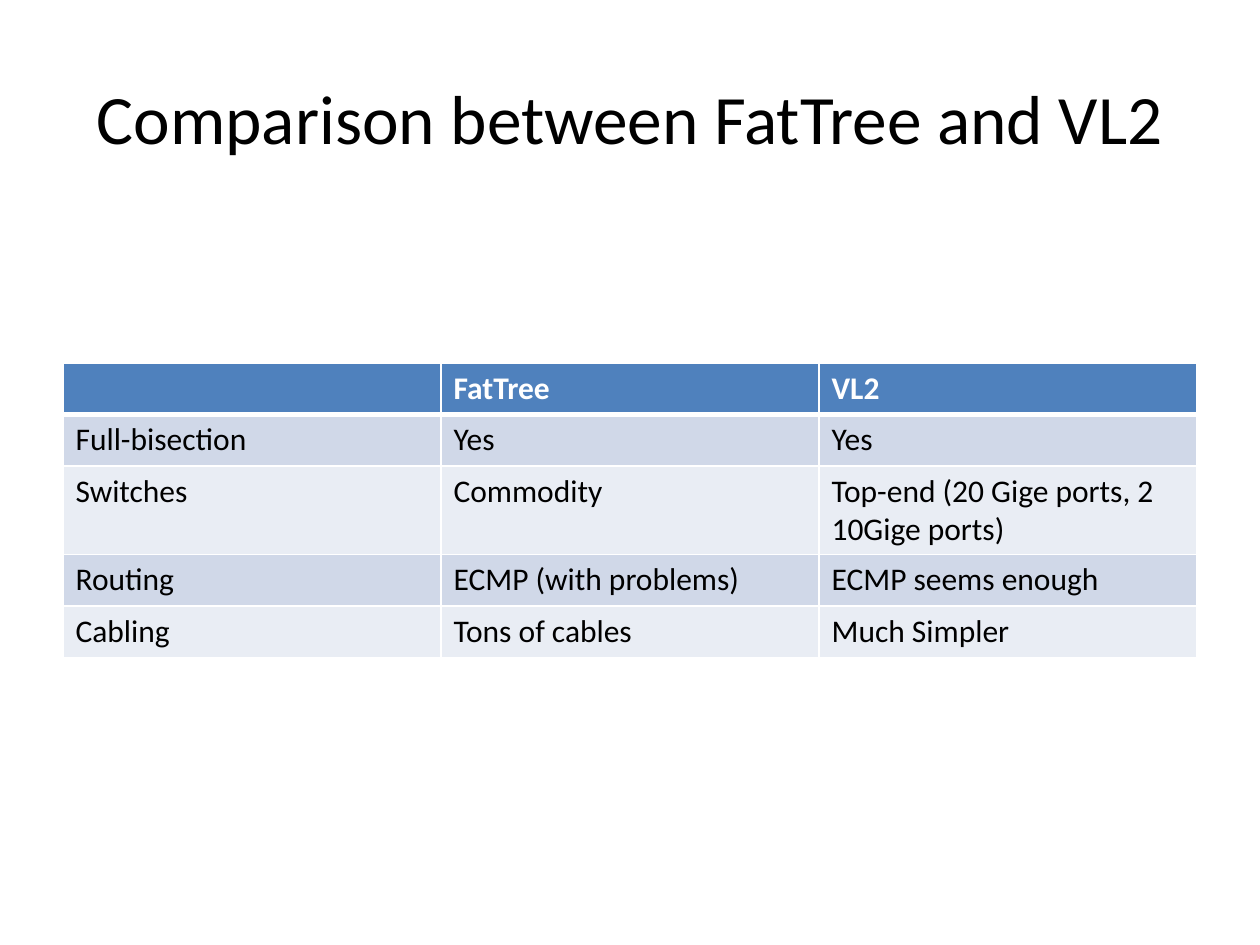
from dataclasses import dataclass

from lxml import etree
from pptx import Presentation
from pptx.dml.color import RGBColor
from pptx.enum.text import MSO_ANCHOR, PP_ALIGN
from pptx.oxml.ns import qn
from pptx.util import Inches, Pt

CENTER, LEFT = PP_ALIGN.CENTER, PP_ALIGN.LEFT
MIDDLE = MSO_ANCHOR.MIDDLE
BLANK_LAYOUT = 6


@dataclass(frozen=True)
class Theme:
    font: str = "Calibri"
    title_size: float = 39.6
    cell_size: float = 18
    text: str = "000000"
    header_text: str = "FFFFFF"
    header_fill: str = "4F81BD"
    bands: tuple[str, str] = ("D0D8E8", "E9EDF4")
    border: str = "FFFFFF"
    thin: float = 1
    thick: float = 3


@dataclass(frozen=True)
class Row:
    aspect: str
    fat_tree: str
    vl2: str


THEME = Theme()
HEADER = Row("", "FatTree", "VL2")
ROWS = [
    Row("Full-bisection", "Yes", "Yes"),
    Row("Switches", "Commodity", "Top-end (20 Gige ports, 2 10Gige ports)"),
    Row("Routing", "ECMP (with problems)", "ECMP seems enough"),
    Row("Cabling", "Tons of cables", "Much Simpler"),
]


def write_text(tf, text: str, *, size: float = THEME.cell_size, color: str = THEME.text,
               bold: bool = False, align=LEFT) -> None:
    p = tf.paragraphs[0]
    p.alignment = align
    if not text:
        p.font.size = Pt(size)
        return
    r = p.add_run()
    r.text = text
    r.font.name = THEME.font
    r.font.size = Pt(size)
    r.font.bold = bold
    r.font.color.rgb = RGBColor.from_string(color)


def set_borders(cell, bottom: float, top: float) -> None:
    """Draw all four cell borders; the lines must precede the fill in tcPr."""
    tc_pr = cell._tc.get_or_add_tcPr()
    widths = {"lnL": THEME.thin, "lnR": THEME.thin, "lnT": top, "lnB": bottom}
    for index, (tag, width) in enumerate(widths.items()):
        ln = etree.Element(qn(f"a:{tag}"), w=str(Pt(width)))
        fill = etree.SubElement(ln, qn("a:solidFill"))
        etree.SubElement(fill, qn("a:srgbClr"), val=THEME.border)
        tc_pr.insert(index, ln)


def add_title(slide, text: str) -> None:
    sp = slide.shapes.add_textbox(Inches(0.5), Inches(0.3), Inches(9), Inches(1.25))
    tf = sp.text_frame
    tf.word_wrap = True
    tf.vertical_anchor = MIDDLE
    write_text(tf, text, size=THEME.title_size, align=CENTER)


def add_comparison_table(slide, header: Row, rows: list[Row]) -> None:
    row_height = Inches(0.41)
    lines = [header, *rows]
    table = slide.shapes.add_table(len(lines), 3, Inches(0.5), Inches(2.88),
                                   Inches(9), row_height * len(lines)).table
    for column in table.columns:
        column.width = Inches(3)
    for i, line in enumerate(lines):
        table.rows[i].height = row_height
        is_header = i == 0
        fill = THEME.header_fill if is_header else THEME.bands[(i - 1) % 2]
        color = THEME.header_text if is_header else THEME.text
        for j, text in enumerate((line.aspect, line.fat_tree, line.vl2)):
            cell = table.cell(i, j)
            cell.fill.solid()
            cell.fill.fore_color.rgb = RGBColor.from_string(fill)
            set_borders(cell, bottom=THEME.thick if is_header else THEME.thin,
                        top=THEME.thick if i == 1 else THEME.thin)
            write_text(cell.text_frame, text, color=color, bold=is_header)


def main() -> None:
    prs = Presentation()
    prs.slide_width, prs.slide_height = Inches(10), Inches(7.5)
    slide = prs.slides.add_slide(prs.slide_layouts[BLANK_LAYOUT])
    add_title(slide, "Comparison between FatTree and VL2")
    add_comparison_table(slide, HEADER, ROWS)
    prs.save("out.pptx")


if __name__ == "__main__":
    main()
